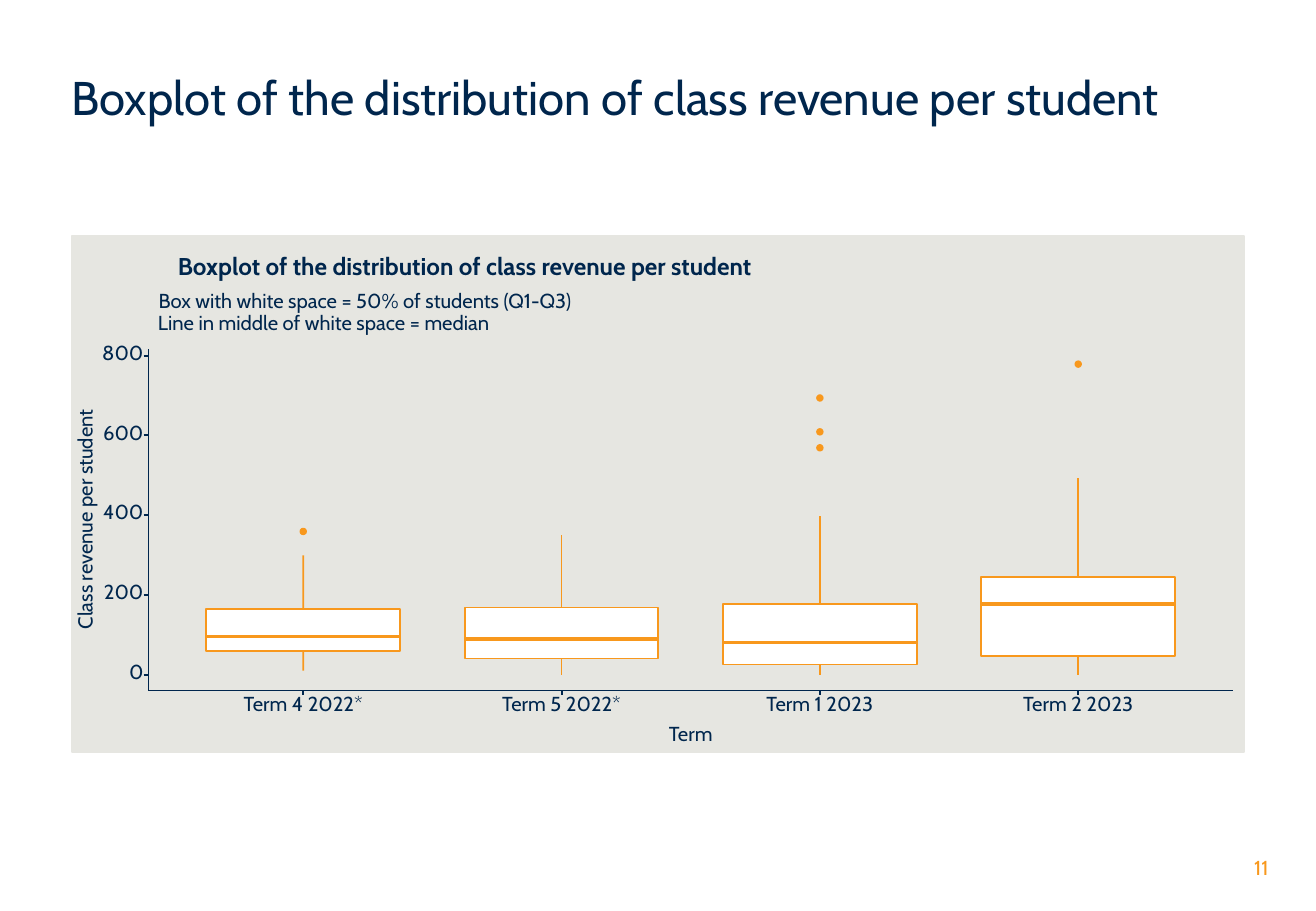
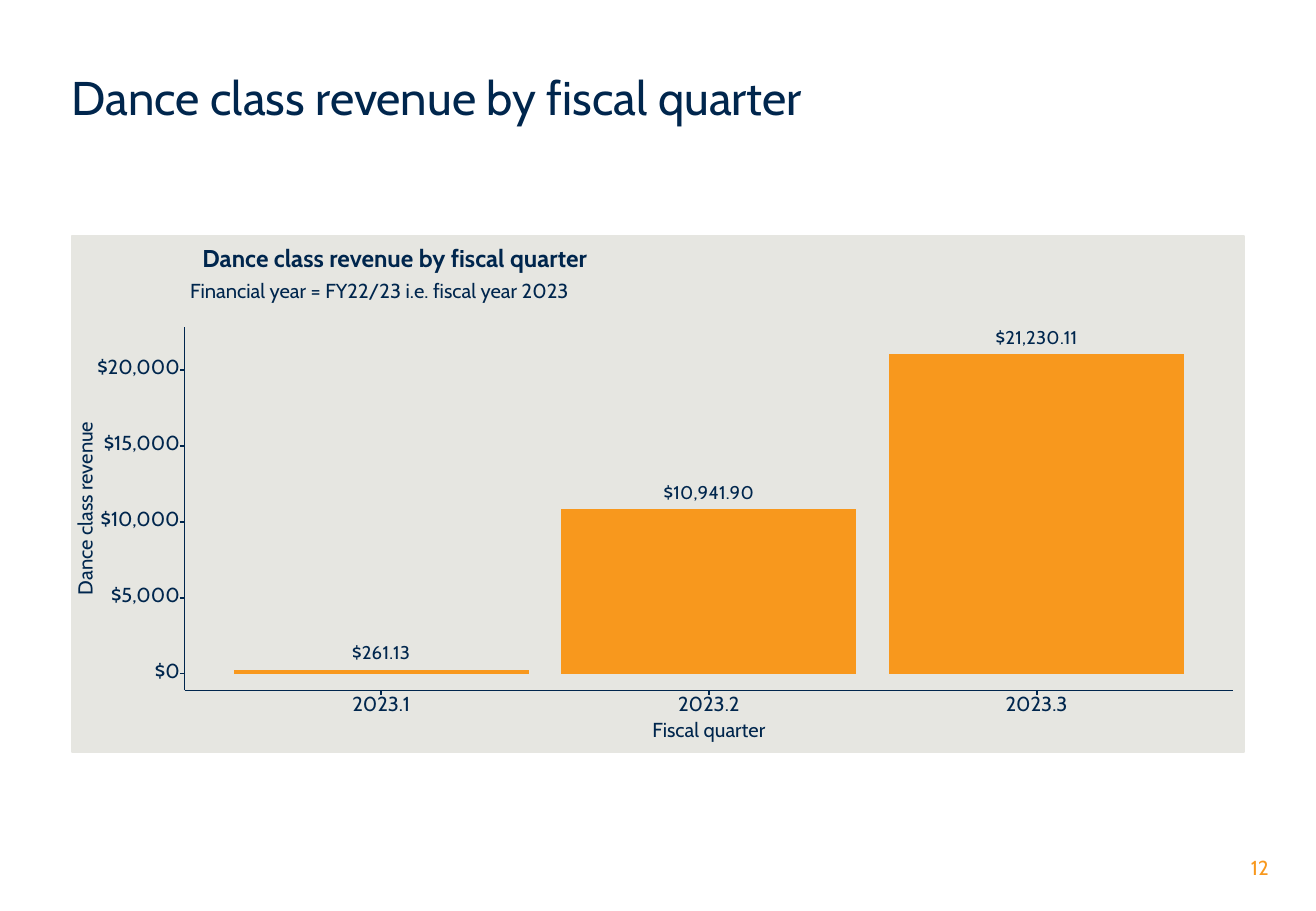
from dataclasses import dataclass
from typing import Any

from lxml.etree import SubElement
from pptx import Presentation
from pptx.chart.data import CategoryChartData
from pptx.dml.color import RGBColor
from pptx.enum.chart import XL_CHART_TYPE as ChartType, XL_LABEL_POSITION as LabelPosition
from pptx.enum.shapes import MSO_CONNECTOR as Connector, MSO_SHAPE as Preset
from pptx.enum.text import MSO_ANCHOR as Anchor, PP_ALIGN as Align
from pptx.oxml import parse_xml
from pptx.oxml.ns import qn
from pptx.util import Cm, Pt

COLORS = {"navy": "00264D", "orange": "F8981D", "panel": "E6E6E1", "white": "FFFFFF"}
FONT = "Cabin"
TOP, BOTTOM = 0, 2  # connection sites of a rectangle
MARGIN, CONTENT_WIDTH = 1.5, 24.51
PLOT_RIGHT, PLOT_BOTTOM = 25.78, 14.43
TICK = 0.1
EDGE_UNITS = 0.6  # free space before the first and after the last category
BOX_SHARE, BAR_SHARE = 0.75, 0.9
CHART_NS = "http://schemas.openxmlformats.org/drawingml/2006/chart"


@dataclass(frozen=True)
class Caption:
    text: str
    y: float
    width: float


@dataclass(frozen=True)
class Plot:
    """A framed plot: lengths in centimetres, low and high in axis values."""
    left: float
    top: float
    low: float
    high: float
    step: int
    tick_format: str
    tick_width: float
    categories: tuple[str, ...]
    heading: Caption
    notes: tuple[Caption, ...]
    x_title: Caption
    y_title: Caption

    @property
    def unit(self) -> float:
        """Distance between two category centres."""
        return (PLOT_RIGHT - self.left) / (len(self.categories) - 1 + 2 * EDGE_UNITS)

    def x(self, index: int) -> float:
        return self.left + (EDGE_UNITS + index) * self.unit

    def y(self, value: float) -> float:
        return PLOT_BOTTOM - (value - self.low) / (self.high - self.low) * (PLOT_BOTTOM - self.top)


@dataclass(frozen=True)
class BoxStats:
    low: float
    q1: float
    median: float
    q3: float
    high: float
    outliers: tuple[float, ...] = ()


STUDENT_PLOT = Plot(
    left=3.1, top=7.29, low=-39, high=818, step=200, tick_format="{}", tick_width=1.2,
    categories=("Term 4 2022*", "Term 5 2022*", "Term 1 2023", "Term 2 2023"),
    heading=Caption("Boxplot of the distribution of class revenue per student", 5.61, 13.23),
    notes=(Caption("Box with white space = 50% of students (Q1-Q3)", 6.32, 9.07),
           Caption("Line in middle of white space = median", 6.78, 7.34)),
    x_title=Caption("Term", 15.37, 0.97),
    y_title=Caption("Class revenue per student", 10.86, 4.83),
)
STUDENT_STATS = (
    BoxStats(10, 58, 95, 165, 299, (359,)),
    BoxStats(0, 40, 89, 168, 351),
    BoxStats(0, 25, 80, 177, 397, (569, 609, 694)),
    BoxStats(0, 46, 177, 244, 494, (779,)),
)
QUARTER_PLOT = Plot(
    left=3.86, top=6.83, low=-1087, high=22828, step=5000, tick_format="${:,}", tick_width=2.2,
    categories=("2023.1", "2023.2", "2023.3"),
    heading=Caption("Dance class revenue by fiscal quarter", 5.44, 8.79),
    notes=(Caption("Financial year = FY22/23 i.e. fiscal year 2023", 6.12, 8.15),),
    x_title=Caption("Fiscal quarter", 15.29, 2.49),
    y_title=Caption("Dance class revenue", 10.63, 3.76),
)
QUARTER_REVENUE = (261.13, 10941.90, 21230.11)


def rgb(name: str) -> RGBColor:
    return RGBColor.from_string(COLORS[name])


def apply(target: Any, values: dict[str, Any]) -> None:
    for name, value in values.items():
        setattr(target, name, value)


def style_font(font: Any, size: float, color: str = "navy", bold: bool = False) -> None:
    apply(font, {"name": FONT, "size": Pt(size), "bold": bold})
    font.color.rgb = rgb(color)


def add_text(page: Any, text: str, left: float, top: float, width: float, height: float,
             size: float = 12, color: str = "navy", bold: bool = False,
             align: Any = Align.LEFT, spacing: Any = None, inset: tuple[float, float] = (0, 0),
             wrap: bool = True, anchor: Any = Anchor.MIDDLE) -> Any:
    """Inset holds the side and the top/bottom margins."""
    box = page.shapes.add_textbox(Cm(left), Cm(top), Cm(width), Cm(height))
    side, edge = map(Cm, inset)
    apply(box.text_frame, {"word_wrap": wrap, "vertical_anchor": anchor,
                           "margin_left": side, "margin_right": side,
                           "margin_top": edge, "margin_bottom": edge})
    para = box.text_frame.paragraphs[0]
    apply(para, {"alignment": align, "line_spacing": spacing})
    span = para.add_run()
    span.text = text
    style_font(span.font, size, color, bold)
    return box


def add_label(page: Any, text: str, x: float, y: float, width: float,
              size: float = 12, bold: bool = False, align: Any = Align.CENTER) -> Any:
    """Write one line centred on the point x, y."""
    height = 0.4
    return add_text(page, text, x - width / 2, y - height / 2, width, height, size,
                    bold=bold, align=align, spacing=Pt(size), wrap=False)


def add_shape(page: Any, preset: Any, left: float, top: float, width: float, height: float,
              fill: str, line: str, weight: float) -> Any:
    shape = page.shapes.add_shape(preset, Cm(left), Cm(top), Cm(width), Cm(height))
    shape.shadow.inherit = False
    shape.fill.solid()
    shape.fill.fore_color.rgb = rgb(fill)
    shape.line.color.rgb = rgb(line)
    shape.line.width = Pt(weight)
    return shape


def add_line(page: Any, x1: float, y1: float, x2: float, y2: float,
             color: str, weight: float) -> Any:
    line = page.shapes.add_connector(Connector.STRAIGHT, Cm(x1), Cm(y1), Cm(x2), Cm(y2))
    line.line.color.rgb = rgb(color)
    line.line.width = Pt(weight)
    SubElement(line._element.spPr, qn("a:effectLst"))
    return line


def add_page(deck: Any, title: str, number: int) -> Any:
    page = deck.slides.add_slide(deck.slide_layouts[6])
    add_text(page, str(number), 24.56, 17.75, 2.21, 0.76, color="orange", align=Align.RIGHT,
             inset=(0.25, 0.13), anchor=Anchor.TOP)
    add_text(page, title, MARGIN, 1.4, CONTENT_WIDTH, 1.4, size=28, spacing=0.9, inset=(0, 0.13))
    add_shape(page, Preset.RECTANGLE, MARGIN, 4.93, CONTENT_WIDTH, 10.8, "panel", "panel", 1.16)
    return page


def add_axes(page: Any, plot: Plot) -> None:
    """Draw both axes with their ticks, labels, titles and captions."""
    add_line(page, plot.left, PLOT_BOTTOM, plot.left, plot.top, "navy", 0.57)
    add_line(page, plot.left, PLOT_BOTTOM, PLOT_RIGHT, PLOT_BOTTOM, "navy", 0.57)
    for value in range(0, int(plot.high) + 1, plot.step):
        y = plot.y(value)
        add_line(page, plot.left - TICK, y, plot.left, y, "navy", 1.16)
        add_label(page, plot.tick_format.format(value), plot.left - TICK - plot.tick_width / 2,
                  y - 0.03, plot.tick_width, align=Align.RIGHT)
    for index, category in enumerate(plot.categories):
        x = plot.x(index)
        add_line(page, x, PLOT_BOTTOM + TICK, x, PLOT_BOTTOM, "navy", 1.16)
        add_label(page, category, x, 14.76, 2.5)

    x_title, y_title, heading = plot.x_title, plot.y_title, plot.heading
    add_label(page, x_title.text, (plot.left + PLOT_RIGHT) / 2, x_title.y, x_title.width)
    add_label(page, y_title.text, 1.81, y_title.y, y_title.width).rotation = 270
    for note in plot.notes:
        add_label(page, note.text, plot.left + note.width / 2, note.y, note.width)
    add_label(page, heading.text, plot.left + heading.width / 2, heading.y, heading.width,
              size=14.4, bold=True)


def add_boxplot(page: Any, plot: Plot, index: int, stats: BoxStats) -> None:
    x, width, dot = plot.x(index), BOX_SHARE * plot.unit, 0.13
    left, top, bottom, median = x - width / 2, plot.y(stats.q3), plot.y(stats.q1), plot.y(stats.median)
    for value in stats.outliers:
        add_shape(page, Preset.OVAL, x - dot / 2, plot.y(value) - dot / 2, dot, dot,
                  "orange", "orange", 0.71)
    box = add_shape(page, Preset.RECTANGLE, left, top, width, bottom - top,
                    "white", "orange", 1.07)
    for site, start, end in ((TOP, top, stats.high), (BOTTOM, bottom, stats.low)):
        add_line(page, x, start, x, plot.y(end), "orange", 1.07).begin_connect(box, site)
    add_line(page, left, median, left + width, median, "orange", 2.13)


def fill_chart_area(chart: Any) -> None:
    """Stretch the plot area over the whole chart frame."""
    plot_area = chart._chartSpace.chart.plotArea
    for layout in plot_area.findall(qn("c:layout")):
        plot_area.remove(layout)
    settings = (("layoutTarget", "inner"), ("xMode", "edge"), ("yMode", "edge"),
                ("x", 0), ("y", 0), ("w", 1), ("h", 1))
    marks = "".join(f'<c:{name} val="{value}"/>' for name, value in settings)
    plot_area.insert(0, parse_xml(
        f'<c:layout xmlns:c="{CHART_NS}"><c:manualLayout>{marks}</c:manualLayout></c:layout>'))


def add_columns(page: Any, plot: Plot, values: tuple[float, ...]) -> None:
    data = CategoryChartData()
    data.categories = plot.categories
    data.add_series(plot.y_title.text, values)
    chart = page.shapes.add_chart(
        ChartType.COLUMN_CLUSTERED, Cm(plot.x(0) - plot.unit / 2), Cm(plot.top),
        Cm(plot.unit * len(values)), Cm(PLOT_BOTTOM - plot.top), data).chart
    apply(chart, {"has_legend": False, "has_title": False})
    style_font(chart.font, 11)
    apply(chart.value_axis, {"minimum_scale": plot.low, "maximum_scale": plot.high,
                             "has_major_gridlines": False, "visible": False})
    chart.category_axis.visible = False

    columns = chart.plots[0]
    apply(columns, {"gap_width": round(100 * (1 / BAR_SHARE - 1)), "vary_by_categories": False,
                    "has_data_labels": True})
    apply(columns.data_labels, {"show_value": True, "position": LabelPosition.OUTSIDE_END,
                                "number_format": '"$"#,##0.00', "number_format_is_linked": False})
    style_font(columns.data_labels.font, 11)
    fill = columns.series[0].format.fill
    fill.solid()
    fill.fore_color.rgb = rgb("orange")
    fill_chart_area(chart)


def main() -> None:
    deck = Presentation()
    apply(deck, {"slide_width": Cm(27.51), "slide_height": Cm(19.05)})

    page = add_page(deck, STUDENT_PLOT.heading.text, 11)
    for index, stats in enumerate(STUDENT_STATS):
        add_boxplot(page, STUDENT_PLOT, index, stats)
    add_axes(page, STUDENT_PLOT)

    page = add_page(deck, QUARTER_PLOT.heading.text, 12)
    add_columns(page, QUARTER_PLOT, QUARTER_REVENUE)
    add_axes(page, QUARTER_PLOT)

    deck.save("out.pptx")


if __name__ == "__main__":
    main()
